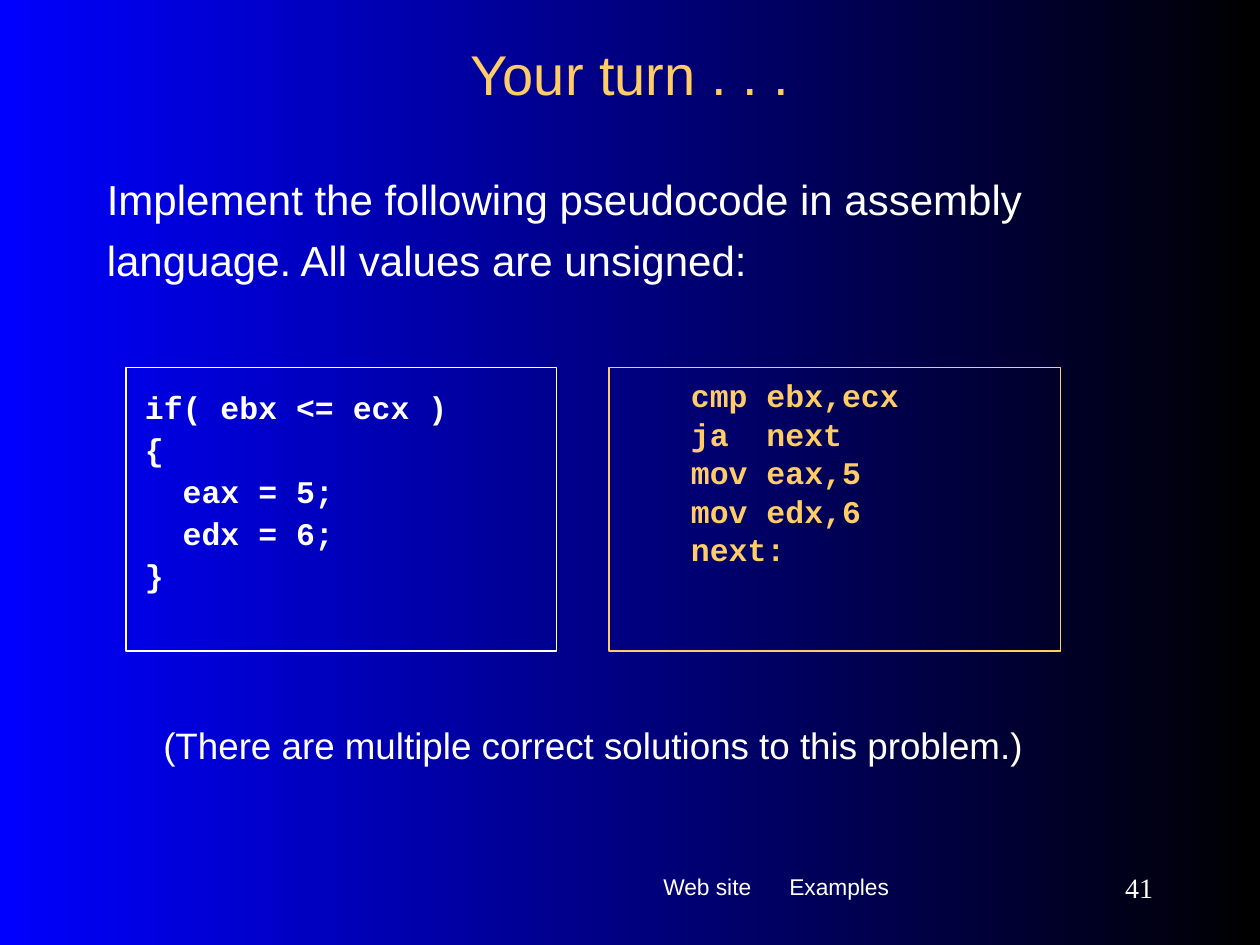
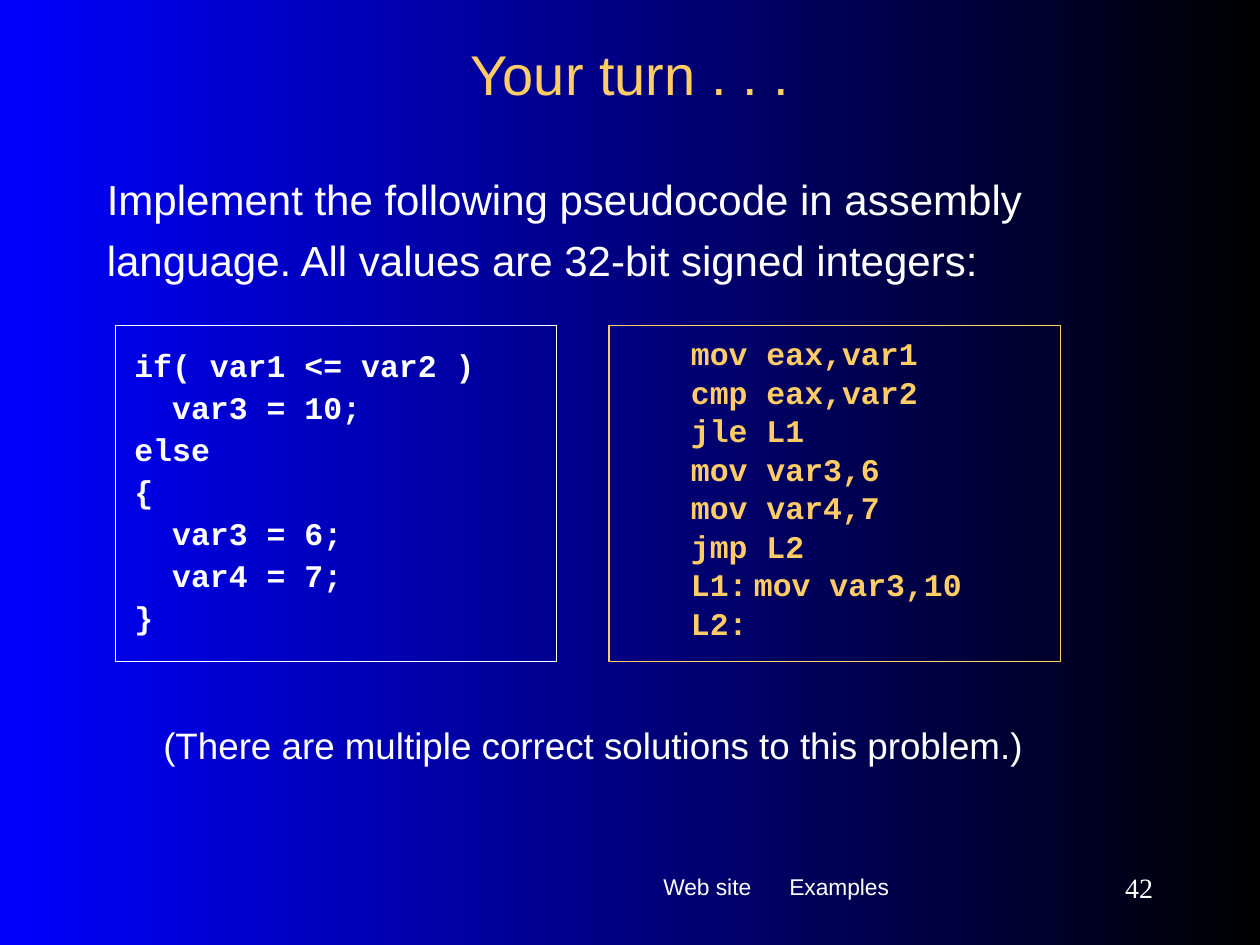
from dataclasses import dataclass
from typing import NamedTuple

from lxml.etree import SubElement
from pptx import Presentation
from pptx.dml.color import RGBColor
from pptx.enum.shapes import MSO_SHAPE
from pptx.enum.text import MSO_ANCHOR, PP_ALIGN
from pptx.oxml.ns import qn
from pptx.util import Emu, Inches, Pt

COLUMNS, ROWS = 120, 90
WIDTH, HEIGHT = Inches(10), Inches(7.5)


@dataclass(frozen=True)
class Theme:
    white: RGBColor = RGBColor(0xFF, 0xFF, 0xFF)
    gold: RGBColor = RGBColor(0xFF, 0xCC, 0x66)
    blue: RGBColor = RGBColor(0x00, 0x00, 0xFF)
    black: RGBColor = RGBColor(0x00, 0x00, 0x00)
    sans: str = "Arial"
    mono: str = "Courier New"
    serif: str = "Times New Roman"
    title: int = 32
    body: int = 24
    note: int = 21
    code: int = 18
    number: int = 16
    footer: int = 13
    outline: float = 0.75


THEME = Theme()


class Area(NamedTuple):
    column: float
    row: float
    columns: float
    rows: float


class Style(NamedTuple):
    size: int
    font: str = THEME.sans
    color: RGBColor = THEME.white
    bold: bool = False
    align: PP_ALIGN = PP_ALIGN.LEFT
    anchor: MSO_ANCHOR = MSO_ANCHOR.TOP
    line_spacing: float = 1.0
    space_before: float = 0
    indent: float = 0
    tabs: tuple[float, ...] = ()
    inset_x: float = 0.1
    inset_y: float = 0.05


class Exercise(NamedTuple):
    number: int
    task: str
    pseudocode: str
    solution: str
    pseudocode_area: Area
    solution_area: Area


TITLE = Style(THEME.title, color=THEME.gold, align=PP_ALIGN.CENTER, anchor=MSO_ANCHOR.MIDDLE)
TASK = Style(THEME.body, line_spacing=1.2)
NOTE = Style(THEME.note, align=PP_ALIGN.CENTER, inset_y=0.15)
FOOTER = Style(THEME.footer, tabs=(0.94,), inset_y=0.15)
NUMBER = Style(THEME.number, THEME.serif, align=PP_ALIGN.RIGHT, anchor=MSO_ANCHOR.MIDDLE)
PSEUDOCODE = Style(THEME.code, THEME.mono, bold=True, line_spacing=0.9,
                   space_before=4.5, inset_x=0.15, inset_y=0.2)
SOLUTION = PSEUDOCODE._replace(color=THEME.gold, line_spacing=0.5, space_before=11.2,
                               indent=0.5, tabs=(0.5, 1.0))

EXERCISES = [
    Exercise(
        41,
        "Implement the following pseudocode in assembly language. All values are unsigned:",
        "if( ebx <= ecx )\n{\n  eax = 5;\n  edx = 6;\n}",
        "cmp ebx,ecx\nja  next\nmov eax,5\nmov edx,6\nnext:",
        Area(12, 35, 41, 27),
        Area(58, 35, 43, 27),
    ),
    Exercise(
        42,
        "Implement the following pseudocode in assembly language. "
        "All values are 32-bit signed integers:",
        "if( var1 <= var2 )\n  var3 = 10;\nelse\n{\n  var3 = 6;\n  var4 = 7;\n}",
        "mov eax,var1\ncmp eax,var2\njle L1\nmov var3,6\nmov var4,7\njmp L2\n"
        "L1:\tmov var3,10\nL2:",
        Area(11, 31, 42, 32),
        Area(58, 31, 43, 32),
    ),
]


def place(area: Area) -> tuple[Emu, Emu, Emu, Emu]:
    across, down = WIDTH / COLUMNS, HEIGHT / ROWS
    return (Emu(round(area.column * across)), Emu(round(area.row * down)),
            Emu(round(area.columns * across)), Emu(round(area.rows * down)))


def write(box, text: str, style: Style) -> None:
    frame = box.text_frame
    frame.word_wrap = True
    frame.vertical_anchor = style.anchor
    frame.margin_left = frame.margin_right = Inches(style.inset_x)
    frame.margin_top = frame.margin_bottom = Inches(style.inset_y)
    frame.text = text
    for index, para in enumerate(frame.paragraphs):
        properties = para._p.get_or_add_pPr()
        properties.set("marL", str(Inches(style.indent)))
        properties.set("indent", "0")
        if style.tabs:
            stops = SubElement(properties, qn("a:tabLst"))
            for stop in style.tabs:
                SubElement(stops, qn("a:tab"), pos=str(Inches(stop)), algn="l")
        para.alignment = style.align
        para.line_spacing = style.line_spacing
        para.space_before = Pt(style.space_before if index else 0)
        for span in para.runs:
            span.font.name = style.font
            span.font.size = Pt(style.size)
            span.font.bold = style.bold
            span.font.color.rgb = style.color


def add_text(page, area: Area, text: str, style: Style) -> None:
    write(page.shapes.add_textbox(*place(area)), text, style)


def add_code(page, area: Area, text: str, style: Style) -> None:
    box = page.shapes.add_shape(MSO_SHAPE.RECTANGLE, *place(area))
    box.shadow.inherit = False
    box.fill.background()
    box.line.color.rgb = style.color
    box.line.width = Pt(THEME.outline)
    write(box, text, style)


def paint_background(deck) -> None:
    fill = deck.slide_master.background.fill
    fill.gradient()
    fill.gradient_angle = 180
    for stop, position, color in zip(fill.gradient_stops, (0, 1), (THEME.black, THEME.blue)):
        stop.position = position
        stop.color.rgb = color


def add_exercise(deck, exercise: Exercise) -> None:
    page = deck.slides.add_slide(deck.slide_layouts[6])
    add_text(page, Area(62, 81.8, 36, 6.2), "Web site\tExamples", FOOTER)
    add_text(page, Area(9, 3, 102, 8), "Your turn . . .", TITLE)
    add_text(page, Area(9, 15, 102, 16), exercise.task, TASK)
    add_code(page, exercise.solution_area, exercise.solution, SOLUTION)
    add_code(page, exercise.pseudocode_area, exercise.pseudocode, PSEUDOCODE)
    add_text(page, Area(9, 67, 95, 7.8),
             "(There are multiple correct solutions to this problem.)", NOTE)
    add_text(page, Area(98, 82, 13, 5), str(exercise.number), NUMBER)


def main() -> None:
    deck = Presentation()
    deck.slide_width, deck.slide_height = WIDTH, HEIGHT
    paint_background(deck)
    for exercise in EXERCISES:
        add_exercise(deck, exercise)
    deck.save("out.pptx")


if __name__ == "__main__":
    main()
